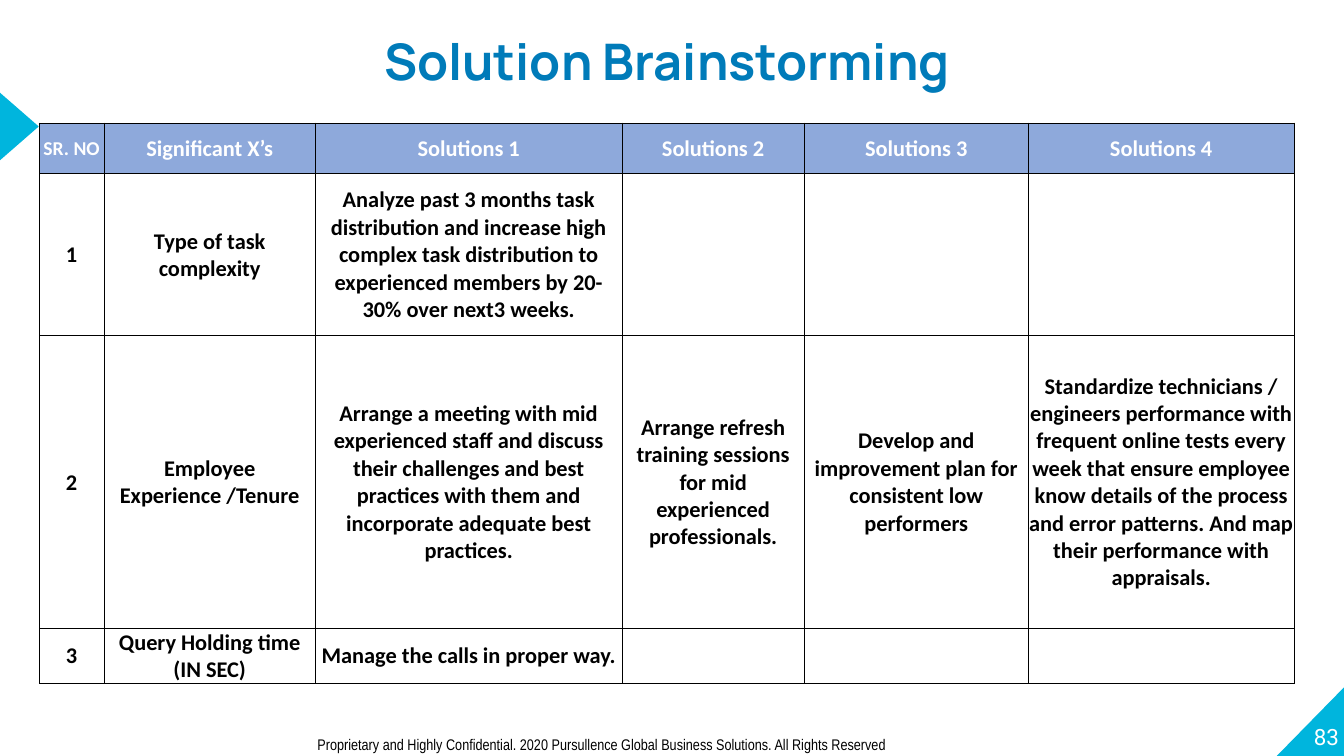
from dataclasses import dataclass

import pptx
import pptx.util
import pptx.dml.color
import pptx.enum.shapes
import pptx.enum.text
import pptx.oxml.ns
from lxml import etree

WIDTH = pptx.util.Inches(13.33)
HEIGHT = pptx.util.Inches(7.5)
ALIGN = pptx.enum.text.PP_ALIGN
ANCHOR = pptx.enum.text.MSO_ANCHOR
SHAPES = pptx.enum.shapes.MSO_SHAPE


@dataclass(frozen=True)
class TextStyle:
    """Typeface, size, colour and weight of a piece of text."""
    font: str
    size: int
    color: str
    bold: bool = False


@dataclass(frozen=True)
class Theme:
    """Colours and type styles of the slide."""
    accent: str = "00B5DD"
    header_fill: str = "8EA9DB"
    border: str = "000000"
    border_width: float = 0.5
    title: TextStyle = TextStyle("Manrope", 36, "007BB9", True)
    serial_header: TextStyle = TextStyle("Calibri", 14, "FFFFFF", True)
    header: TextStyle = TextStyle("Calibri", 16, "FFFFFF", True)
    body: TextStyle = TextStyle("Calibri", 16, "000000", True)
    page: TextStyle = TextStyle("Roboto", 16, "FFFFFF")
    footer: TextStyle = TextStyle("Arial Narrow", 11, "000000")


THEME = Theme()

COLUMN_SHARES = [4.8, 15.75, 22.8, 13.58, 16.65, 19.8]
ROW_SHARES = [6.67, 21.47, 38.67, 7.33]
SOLUTIONS = [
    ["SR. NO", "Significant X’s", "Solutions 1", "Solutions 2", "Solutions 3", "Solutions 4"],
    ["1", "Type of task complexity",
     "Analyze past 3 months task distribution and increase high complex task "
     "distribution to experienced members by 20-30% over next3 weeks.", "", "", ""],
    ["2", "Employee Experience /Tenure",
     "Arrange a meeting with mid experienced staff and discuss their challenges and best "
     "practices with them and incorporate adequate best practices.",
     "Arrange refresh training sessions for mid experienced professionals.",
     "Develop and improvement plan for consistent low performers",
     "Standardize technicians / engineers performance with frequent online tests every week "
     "that ensure employee know details of the process and error patterns. "
     "And map their performance with appraisals."],
    ["3", "Query Holding time (IN SEC)", "Manage the calls in proper way.", "", "", ""],
]


def across(share):
    """Turn a percentage of the slide's width into a length."""
    return pptx.util.Emu(round(WIDTH * share / 100))


def down(share):
    """Turn a percentage of the slide's height into a length."""
    return pptx.util.Emu(round(HEIGHT * share / 100))


def area(left, top, width, height):
    """Turn percentages of the slide into a position and a size."""
    return across(left), down(top), across(width), down(height)


def rgb(color):
    """Return the colour for a hexadecimal code."""
    return pptx.dml.color.RGBColor.from_string(color)


def write(paragraph, wording, style, align):
    """Add one styled run to a paragraph."""
    paragraph.alignment = align
    run = paragraph.add_run()
    run.text = wording
    run.font.name = style.font
    run.font.size = pptx.util.Pt(style.size)
    run.font.bold = style.bold
    run.font.color.rgb = rgb(style.color)


def add_triangle(slide, kind, place):
    """Add an accent triangle without outline and return it."""
    triangle = slide.shapes.add_shape(kind, *area(*place))
    triangle.shadow.inherit = False
    triangle.fill.solid()
    triangle.fill.fore_color.rgb = rgb(THEME.accent)
    triangle.line.fill.background()
    return triangle


def add_label(slide, place, wording, style, align, anchor=ANCHOR.TOP, inset=True, spacing=None):
    """Add a text box holding one line of text."""
    frame = slide.shapes.add_textbox(*area(*place)).text_frame
    frame.word_wrap = True
    frame.vertical_anchor = anchor
    if not inset:
        frame.margin_left = frame.margin_top = frame.margin_right = frame.margin_bottom = 0
    line = frame.paragraphs[0]
    line.line_spacing = spacing
    write(line, wording, style, align)


def draw_borders(cell):
    """Give a cell a thin line on all four sides."""
    properties = cell._tc.get_or_add_tcPr()
    for side in ("a:lnL", "a:lnR", "a:lnT", "a:lnB"):
        line = etree.SubElement(properties, pptx.oxml.ns.qn(side),
                                w=str(pptx.util.Pt(THEME.border_width)))
        fill = etree.SubElement(line, pptx.oxml.ns.qn("a:solidFill"))
        etree.SubElement(fill, pptx.oxml.ns.qn("a:srgbClr"), val=THEME.border)


def fill_cell(cell, wording, style, color=None):
    """Set a cell's borders, fill, margins and text."""
    draw_borders(cell)
    if color:
        cell.fill.solid()
        cell.fill.fore_color.rgb = rgb(color)
    else:
        cell.fill.background()
    cell.margin_left = cell.margin_right = cell.margin_top = pptx.util.Inches(0.01)
    cell.margin_bottom = 0
    cell.vertical_anchor = ANCHOR.MIDDLE
    if wording:
        write(cell.text_frame.paragraphs[0], wording, style, ALIGN.CENTER)


def add_solutions_table(slide, left, top):
    """Add the table of significant factors and their solutions."""
    place = area(left, top, sum(COLUMN_SHARES), sum(ROW_SHARES))
    table = slide.shapes.add_table(len(ROW_SHARES), len(COLUMN_SHARES), *place).table
    table.first_row = table.horz_banding = False
    for column, share in zip(table.columns, COLUMN_SHARES):
        column.width = across(share)
    for row, share in zip(table.rows, ROW_SHARES):
        row.height = down(share)
    for row_index, wordings in enumerate(SOLUTIONS):
        for column_index, wording in enumerate(wordings):
            cell = table.cell(row_index, column_index)
            if row_index:
                fill_cell(cell, wording, THEME.body)
            else:
                style = THEME.header if column_index else THEME.serial_header
                fill_cell(cell, wording, style, THEME.header_fill)


def main():
    """Build the slide and save it."""
    deck = pptx.Presentation()
    deck.slide_width, deck.slide_height = WIDTH, HEIGHT
    slide = deck.slides.add_slide(deck.slide_layouts[6])

    page_corner = add_triangle(slide, SHAPES.RIGHT_TRIANGLE, (95, 90.93, 5, 9.07))
    page_corner._element.spPr.xfrm.set("flipH", "1")
    edge_pointer = add_triangle(slide, SHAPES.ISOSCELES_TRIANGLE, (-1.13, 14.13, 5.1, 5.2))
    edge_pointer.rotation = 90

    add_label(slide, (94.6, 90.13, 5.03, 9.07), "83", THEME.page, ALIGN.RIGHT,
              anchor=ANCHOR.BOTTOM, inset=False)
    add_label(slide, (10.43, 0, 78.39, 10.13), "Solution Brainstorming", THEME.title,
              ALIGN.CENTER, inset=False, spacing=1.5)
    add_label(slide, (22.88, 96.53, 63.84, 3.47),
              "Proprietary and Highly Confidential. 2020 Pursullence Global Business Solutions. "
              "All Rights Reserved", THEME.footer, ALIGN.LEFT)
    add_solutions_table(slide, 2.93, 16.27)
    deck.save("out.pptx")


if __name__ == "__main__":
    main()
